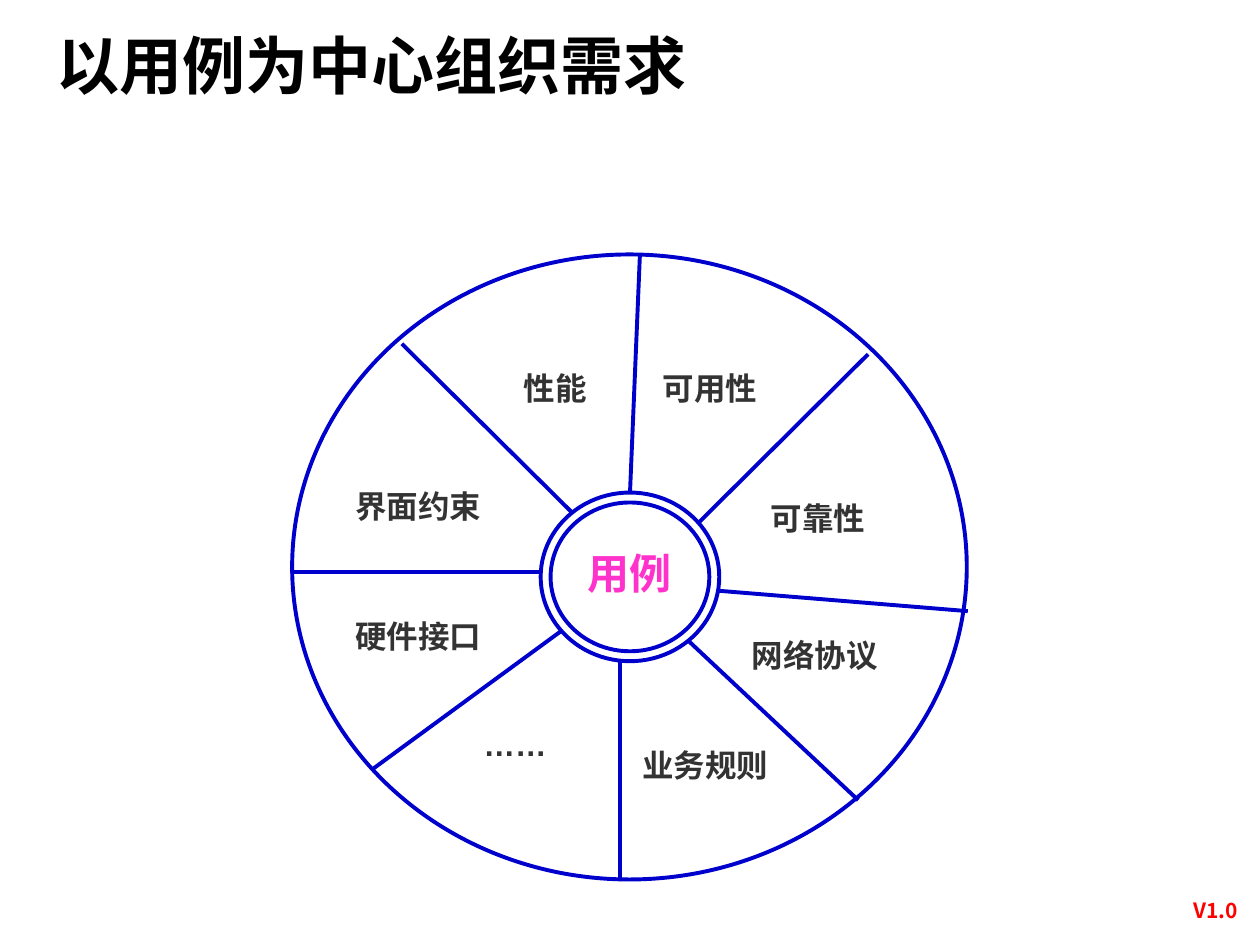
from dataclasses import dataclass

from lxml import etree
from pptx import Presentation
from pptx.dml.color import RGBColor
from pptx.enum.shapes import MSO_CONNECTOR, MSO_SHAPE
from pptx.enum.text import MSO_ANCHOR, MSO_AUTO_SIZE, PP_ALIGN
from pptx.oxml.ns import qn
from pptx.util import Cm, Pt

OVAL = MSO_SHAPE.OVAL
STRAIGHT = MSO_CONNECTOR.STRAIGHT
BOTTOM = MSO_ANCHOR.BOTTOM
NO_FIT = MSO_AUTO_SIZE.NONE
GROW = MSO_AUTO_SIZE.SHAPE_TO_FIT_TEXT
LEFT, CENTER = PP_ALIGN.LEFT, PP_ALIGN.CENTER


@dataclass(frozen=True)
class Theme:
    line: str = "0000CC"
    title: str = "000000"
    label: str = "333333"
    hub: str = "FF33CC"
    version: str = "FF0000"
    title_size: int = 36
    hub_size: int = 24
    label_size: int = 18
    version_size: int = 12
    line_width: float = 2.25
    title_font: str = "Arial"
    label_font: str = "DejaVu Sans"
    version_font: str = "Noto Sans CJK SC"


class Deck:
    def __init__(self, slide, theme):
        self.s = slide
        self.theme = theme

    def style_text(self, tf, text, size, color, font, align):
        tf.text = text
        p = tf.paragraphs[0]
        p.alignment = align
        r = p.runs[0]
        r.font.size = Pt(size)
        r.font.bold = True
        r.font.color.rgb = RGBColor.from_string(color)
        r.font.name = font
        ea = etree.SubElement(r.font._element, qn("a:ea"))
        ea.set("typeface", font)

    def title(self, text, x, y, w, h):
        sp = self.s.shapes.title
        sp.left, sp.top, sp.width, sp.height = Cm(x), Cm(y), Cm(w), Cm(h)
        tf = sp.text_frame
        tf.auto_size = NO_FIT
        tf.vertical_anchor = BOTTOM
        t = self.theme
        self.style_text(tf, text, t.title_size, t.title, t.title_font, LEFT)

    def text(self, text, x, y, w, h, size, color, font, align=LEFT):
        sp = self.s.shapes.add_textbox(Cm(x), Cm(y), Cm(w), Cm(h))
        tf = sp.text_frame
        tf.word_wrap = True
        tf.auto_size = GROW
        self.style_text(tf, text, size, color, font, align)

    def stroke(self, line):
        line.color.rgb = RGBColor.from_string(self.theme.line)
        line.width = Pt(self.theme.line_width)

    def ellipse(self, cx, cy, w, h):
        sp = self.s.shapes.add_shape(
            OVAL, Cm(cx - w / 2), Cm(cy - h / 2), Cm(w), Cm(h))
        sp.shadow.inherit = False
        sp.fill.background()
        self.stroke(sp.line)

    def spoke(self, x1, y1, x2, y2):
        c = self.s.shapes.add_connector(STRAIGHT, Cm(x1), Cm(y1), Cm(x2), Cm(y2))
        self.stroke(c.line)
        etree.SubElement(c._element.spPr, qn("a:effectLst"))


ELLIPSES = [
    (12.7, 11.63, 3.2, 3),
    (12.7, 11.63, 3.6, 3.4),
    (12.69, 11.43, 13.6, 12.6),
]
SPOKES = [
    (14.1, 10.52, 17.5, 7.14),
    (14.5, 11.91, 19.51, 12.32),
    (12.7, 9.93, 12.9, 5.13),
    (11.51, 10.31, 8.1, 6.93),
    (11.3, 12.73, 7.49, 15.52),
    (12.5, 13.34, 12.5, 17.73),
    (13.89, 12.93, 17.3, 16.13),
    (10.9, 11.53, 5.89, 11.53),
]
SECTORS = [
    ("可用性", 13.11, 7.32, 3.2),
    ("可靠性", 15.29, 9.93, 4),
    ("网络协议", 14.91, 12.7, 4.2),
    ("业务规则", 12.7, 14.91, 3.6),
    ("……", 9.5, 14.5, 3.6),
    ("硬件接口", 6.91, 12.32, 4.4),
    ("界面约束", 6.91, 9.7, 3.8),
    ("性能", 10.31, 7.32, 3.6),
]


def main():
    prs = Presentation()
    prs.slide_width, prs.slide_height = Cm(25.4), Cm(19.05)
    t = Theme()
    deck = Deck(prs.slides.add_slide(prs.slide_layouts[5]), t)
    deck.text("V1.0", 23.5, 17.96, 2, 0.76,
              t.version_size, t.version, t.version_font, CENTER)
    deck.title("以用例为中心组织需求", 0.89, 0.76, 23.04, 1.42)
    for ellipse in ELLIPSES:
        deck.ellipse(*ellipse)
    deck.text("用例", 11.3, 10.92, 2.8, 1.27,
              t.hub_size, t.hub, t.label_font, CENTER)
    for spoke in SPOKES:
        deck.spoke(*spoke)
    for label, x, y, w in SECTORS:
        font = t.title_font if label == "……" else t.label_font
        deck.text(label, x, y, w, 1.02, t.label_size, t.label, font)
    prs.save("out.pptx")


if __name__ == "__main__":
    main()
